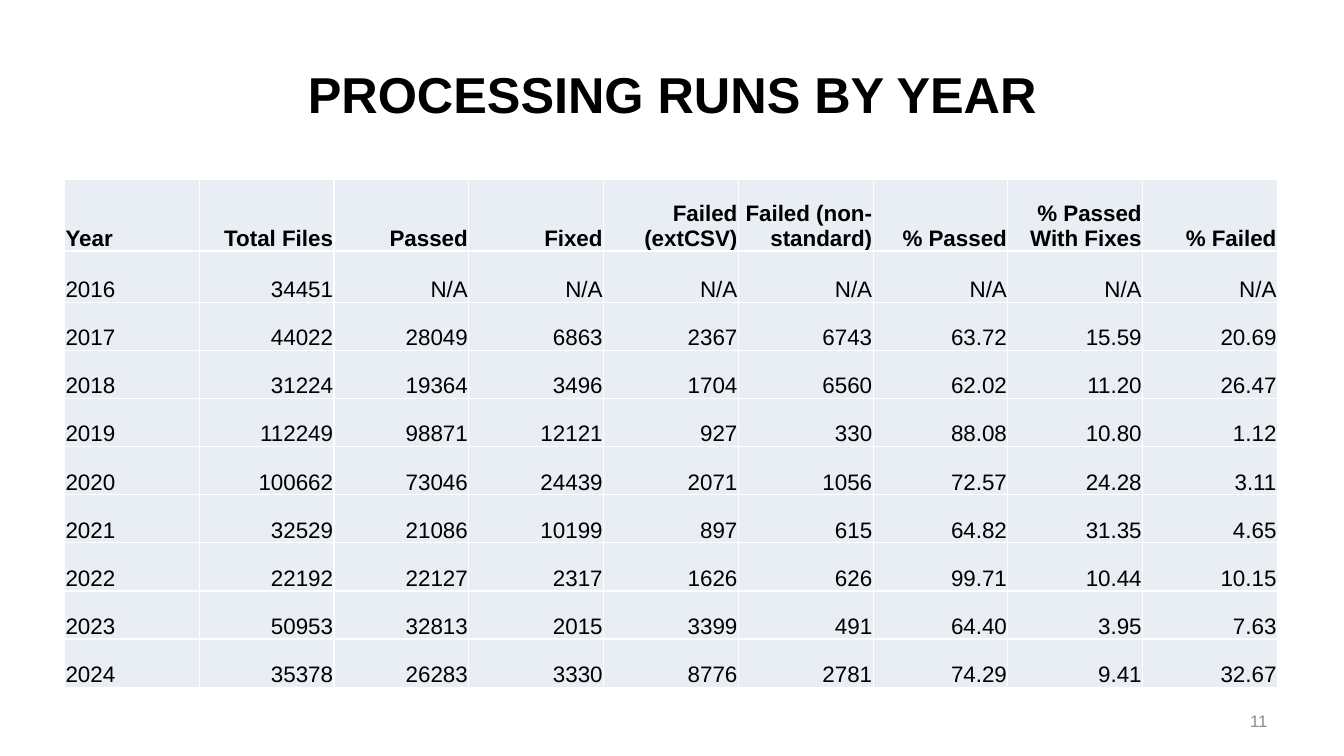
from lxml import etree
from pptx import Presentation
from pptx import util as u
from pptx.dml.color import RGBColor
from pptx.enum import text
from pptx.oxml import ns

BLACK = RGBColor(0x00, 0x00, 0x00)
GRAY = RGBColor(0x8C, 0x8C, 0x8C)
WHITE = RGBColor(0xFF, 0xFF, 0xFF)
PALE_BLUE = RGBColor(0xE9, 0xED, 0xF4)

HEADINGS = ["Year", "Total Files", "Passed", "Fixed", "Failed (extCSV)",
            "Failed (non-standard)", "% Passed", "% Passed With Fixes", "% Failed"]
RUNS_BY_YEAR = [
    ["2016", "34451"] + ["N/A"] * 7,
    ["2017", "44022", "28049", "6863", "2367", "6743", "63.72", "15.59", "20.69"],
    ["2018", "31224", "19364", "3496", "1704", "6560", "62.02", "11.20", "26.47"],
    ["2019", "112249", "98871", "12121", "927", "330", "88.08", "10.80", "1.12"],
    ["2020", "100662", "73046", "24439", "2071", "1056", "72.57", "24.28", "3.11"],
    ["2021", "32529", "21086", "10199", "897", "615", "64.82", "31.35", "4.65"],
    ["2022", "22192", "22127", "2317", "1626", "626", "99.71", "10.44", "10.15"],
    ["2023", "50953", "32813", "2015", "3399", "491", "64.40", "3.95", "7.63"],
    ["2024", "35378", "26283", "3330", "8776", "2781", "74.29", "9.41", "32.67"],
]


class SlideBuilder:
    """Holds the slide and its font; one method for each kind of element."""

    font = "Arial"

    def __init__(self, slide):
        self.slide = slide

    def set_text(self, frame, words, size, color, align, bold=False):
        frame.text = words
        paragraph = frame.paragraphs[0]
        paragraph.alignment = align
        for run in paragraph.runs:
            run.font.name = self.font
            run.font.size = u.Pt(size)
            run.font.bold = bold
            run.font.color.rgb = color

    def label(self, box, words, size, color, align, bold=False):
        frame = self.slide.shapes.add_textbox(*map(u.Inches, box)).text_frame
        frame.word_wrap = True
        frame.vertical_anchor = text.MSO_ANCHOR.MIDDLE
        self.set_text(frame, words, size, color, align, bold)

    def borders(self, cell, color, width):
        properties = cell._tc.get_or_add_tcPr()
        # Border lines must stand before the fill
        for position, side in enumerate(("a:lnL", "a:lnR", "a:lnT", "a:lnB")):
            line = etree.Element(ns.qn(side), w=str(u.Pt(width)))
            fill = etree.SubElement(line, ns.qn("a:solidFill"))
            etree.SubElement(fill, ns.qn("a:srgbClr"), val=str(color))
            properties.insert(position, line)

    def table(self, box, rows, top_heights):
        left, top, width, height = box
        columns = len(rows[0])
        table = self.slide.shapes.add_table(len(rows), columns, *map(u.Inches, box)).table
        for column in table.columns:
            column.width = u.Inches(width / columns)
        # The given heights come first; the other rows share the rest
        rest = len(rows) - len(top_heights)
        heights = top_heights + [(height - sum(top_heights)) / rest] * rest
        for r, (values, row_height) in enumerate(zip(rows, heights)):
            table.rows[r].height = u.Inches(row_height)
            for c, value in enumerate(values):
                self.cell(table.cell(r, c), value, heading=r == 0, first=c == 0)

    def cell(self, cell, value, heading, first):
        cell.fill.solid()
        cell.fill.fore_color.rgb = PALE_BLUE
        cell.margin_left = cell.margin_right = cell.margin_top = u.Inches(0.01)
        cell.margin_bottom = 0
        cell.vertical_anchor = text.MSO_ANCHOR.BOTTOM
        align = text.PP_ALIGN.LEFT if first else text.PP_ALIGN.RIGHT
        self.set_text(cell.text_frame, value, 16, BLACK, align, heading)
        self.borders(cell, WHITE, 1)


def main():
    deck = Presentation()
    deck.slide_width, deck.slide_height = u.Inches(13.33), u.Inches(7.5)
    builder = SlideBuilder(deck.slides.add_slide(deck.slide_layouts[6]))

    # Title
    builder.label((0.67, 0.3, 12, 1.25), "PROCESSING RUNS BY YEAR", 36, BLACK,
                  text.PP_ALIGN.CENTER, bold=True)
    # Page number
    builder.label((9.56, 6.95, 3.11, 0.4), "11", 12, GRAY, text.PP_ALIGN.RIGHT)
    # Results for each year
    builder.table((0.64, 1.78, 12.03, 5.04), [HEADINGS] + RUNS_BY_YEAR, [0.71, 0.51])

    deck.save("out.pptx")


if __name__ == "__main__":
    main()
